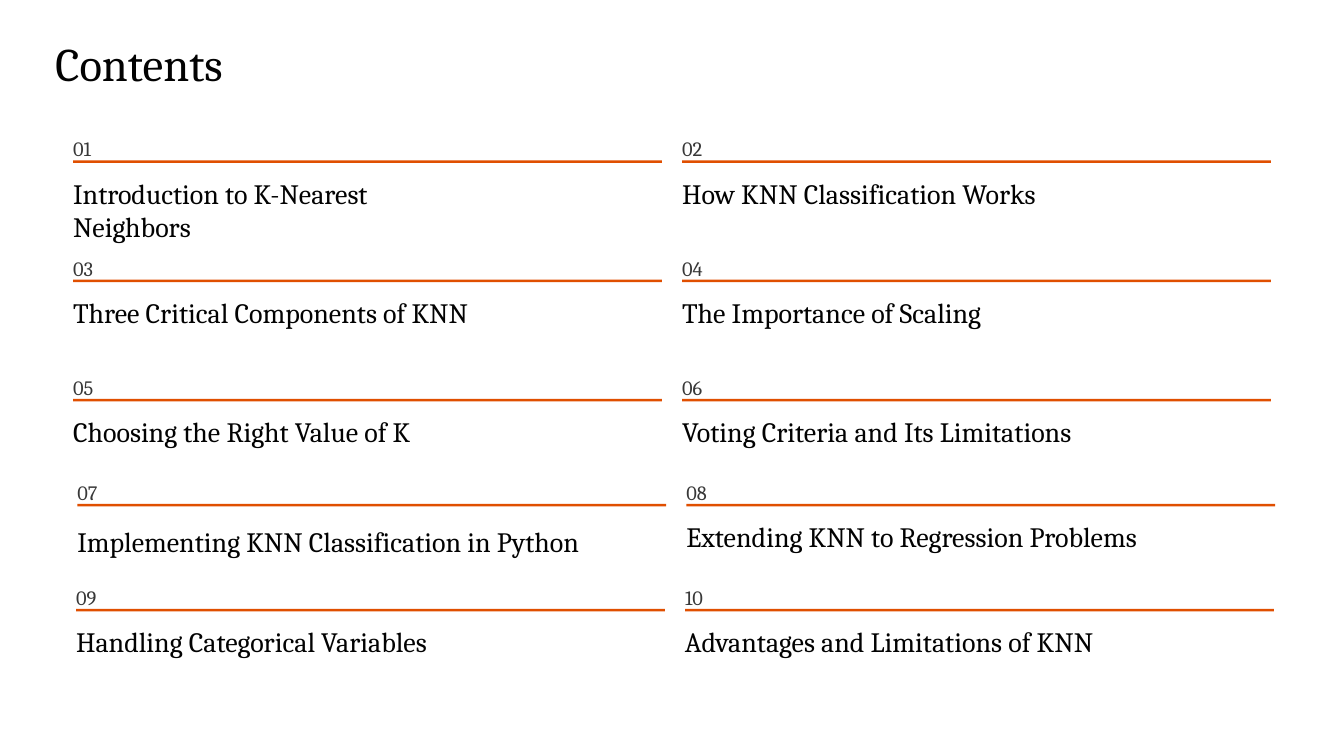
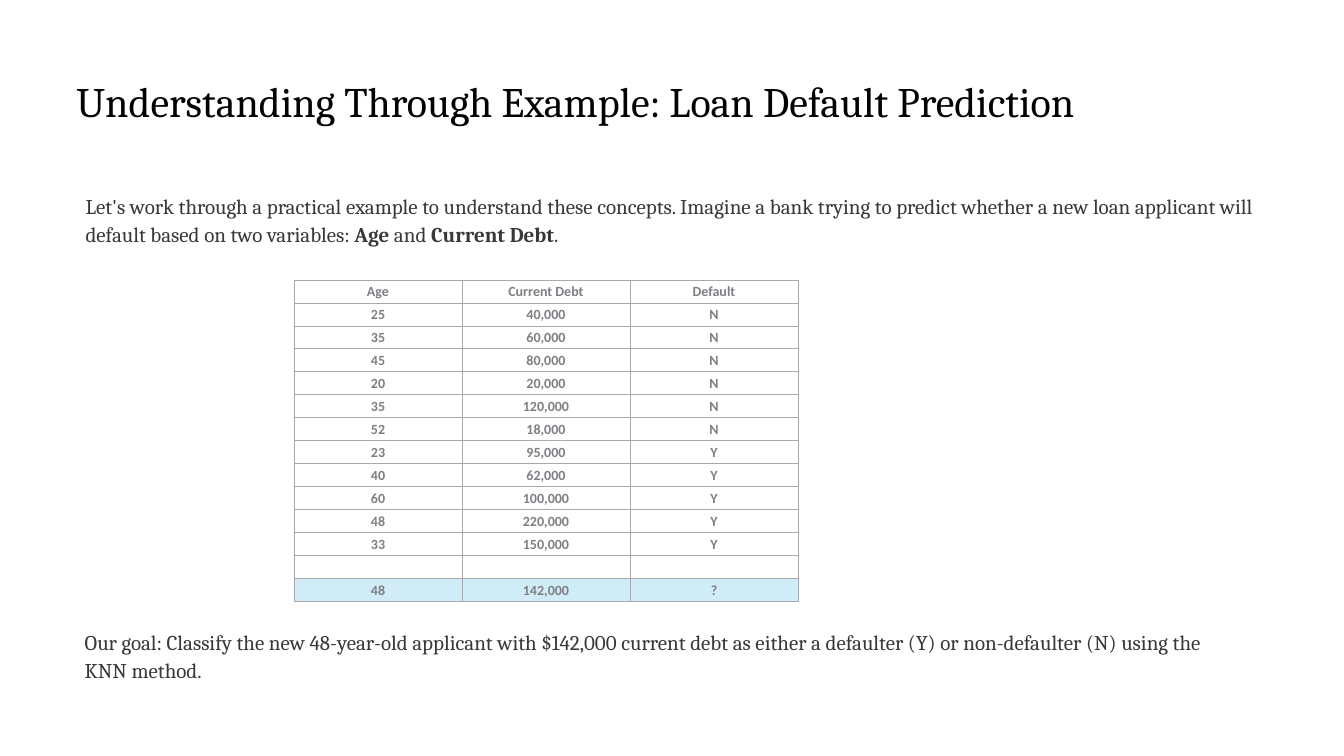
from typing import Any, NamedTuple, Optional

from lxml.etree import SubElement
from pptx import Presentation
from pptx.dml.color import RGBColor
from pptx.enum.shapes import MSO_SHAPE
from pptx.enum.text import MSO_ANCHOR, PP_ALIGN
from pptx.oxml.ns import qn
from pptx.util import Pt

COLORS = {
    "title": "020202",
    "body": "383838",
    "rule": "E04F00",
    "cell": "807E84",
    "border": "A9A9AD",
    "highlight": "CFECF7",
}


class TextStyle(NamedTuple):
    size: float
    color: str
    line_spacing: Optional[float] = None
    font: str = "Cambria"
    bold: bool = False


class Span(NamedTuple):
    text: str
    bold: bool = False


class Frame(NamedTuple):
    left: float
    top: float
    width: float
    height: float


class Topic(NamedTuple):
    heading: str
    width: float
    line_spacing: Optional[float] = None


class TopicRow(NamedTuple):
    left: float
    top: float
    topics: tuple[Topic, Topic]


COVER_TITLE = TextStyle(40, "title")
PAGE_TITLE = TextStyle(36, "title", 48.5)
NUMBER = TextStyle(17.5, "body", 28.5)
HEADING = TextStyle(24, "title")
BODY = TextStyle(18, "body", 23.5)
CELL = TextStyle(12, "cell", font="Calibri", bold=True)

COLUMN_STEP = 522
RULE_WIDTH, RULE_HEIGHT = 504.72, 2.16
RULE_OFFSET, HEADING_OFFSET = 28.08, 41.76

TOPIC_ROWS = [
    TopicRow(62.64, 109.44, (Topic("Introduction to K-Nearest Neighbors", 344),
                             Topic("How KNN Classification Works", 387))),
    TopicRow(62.64, 211.68, (Topic("Three Critical Components of KNN", 405),
                             Topic("The Importance of Scaling", 302))),
    TopicRow(62.64, 313.92, (Topic("Choosing the Right Value of K", 423),
                             Topic("Voting Criteria and Its Limitations", 435))),
    TopicRow(66.24, 403.92, (Topic("Implementing KNN Classification in Python", 432, 33),
                             Topic("Extending KNN to Regression Problems", 435))),
    TopicRow(65.16, 493.92, (Topic("Handling Categorical Variables", 423),
                             Topic("Advantages and Limitations of KNN", 435))),
]

LOANS = [
    ("Age", "Current Debt", "Default"),
    ("25", "40,000", "N"),
    ("35", "60,000", "N"),
    ("45", "80,000", "N"),
    ("20", "20,000", "N"),
    ("35", "120,000", "N"),
    ("52", "18,000", "N"),
    ("23", "95,000", "Y"),
    ("40", "62,000", "Y"),
    ("60", "100,000", "Y"),
    ("48", "220,000", "Y"),
    ("33", "150,000", "Y"),
    ("", "", ""),
    ("48", "142,000", "?"),
]


def color(name: str) -> RGBColor:
    return RGBColor.from_string(COLORS[name])


def set_attributes(target: Any, values: dict[str, Any]) -> None:
    for name, value in values.items():
        setattr(target, name, value)


def add_span(para: Any, span: Span, style: TextStyle) -> None:
    run = para.add_run()
    run.text = span.text
    set_attributes(run.font, {
        "name": style.font,
        "size": Pt(style.size),
        "bold": span.bold or style.bold,
    })
    run.font.color.rgb = color(style.color)


def add_text(page: Any, frame: Frame, spans: list[Span], style: TextStyle,
             inset: tuple[float, float] = (0, 0), wrap: bool = True) -> None:
    """Add a one-paragraph text box; inset is (horizontal, vertical)."""
    box = page.shapes.add_textbox(*map(Pt, frame))
    across, down = map(Pt, inset)
    set_attributes(box.text_frame, {
        "word_wrap": wrap,
        "margin_left": across,
        "margin_right": across,
        "margin_top": down,
        "margin_bottom": down,
    })
    para = box.text_frame.paragraphs[0]
    if style.line_spacing:
        para.line_spacing = Pt(style.line_spacing)
    for span in spans:
        add_span(para, span, style)


def add_rule(page: Any, left: float, top: float) -> None:
    rule = page.shapes.add_shape(
        MSO_SHAPE.RECTANGLE, Pt(left), Pt(top), Pt(RULE_WIDTH), Pt(RULE_HEIGHT))
    rule.shadow.inherit = False
    rule.fill.solid()
    rule.fill.fore_color.rgb = color("rule")
    rule.line.fill.background()


def add_topic(page: Any, number: int, topic: Topic, left: float, top: float) -> None:
    add_text(page, Frame(left, top, 18, 22.32), [Span(f"{number:02}")], NUMBER, wrap=False)
    add_rule(page, left, top + RULE_OFFSET)
    add_text(page, Frame(left, top + HEADING_OFFSET, topic.width, 36), [Span(topic.heading)],
             HEADING._replace(line_spacing=topic.line_spacing), wrap=False)


def add_borders(cell: Any) -> None:
    properties = cell._tc.get_or_add_tcPr()
    for side in ("lnL", "lnR", "lnT", "lnB"):
        line = SubElement(properties, qn(f"a:{side}"), w=str(Pt(0.75)))
        fill = SubElement(line, qn("a:solidFill"))
        SubElement(fill, qn("a:srgbClr"), val=COLORS["border"])


def fill_cell(cell: Any, text: str, highlighted: bool) -> None:
    set_attributes(cell, {
        "vertical_anchor": MSO_ANCHOR.MIDDLE,
        "margin_left": Pt(0.72),
        "margin_right": Pt(0.72),
        "margin_top": Pt(0.72),
        "margin_bottom": 0,
    })
    add_borders(cell)
    if highlighted:
        cell.fill.solid()
        cell.fill.fore_color.rgb = color("highlight")
    else:
        cell.fill.background()
    para = cell.text_frame.paragraphs[0]
    para.alignment = PP_ALIGN.CENTER
    if text:
        add_span(para, Span(text), CELL)
    else:
        # An empty cell would otherwise take the default size and stretch its row.
        SubElement(para._p, qn("a:endParaRPr"), sz=str(CELL.size * 100))


def add_loan_table(page: Any) -> None:
    frame = Frame(252, 240, 432, 275.8)
    table = page.shapes.add_table(len(LOANS), len(LOANS[0]), *map(Pt, frame)).table
    set_attributes(table, {"first_row": False, "horz_banding": False})
    for column in table.columns:
        column.width = Pt(frame.width / len(LOANS[0]))
    for index, (row, values) in enumerate(zip(table.rows, LOANS)):
        row.height = Pt(frame.height / len(LOANS))
        for cell, text in zip(row.cells, values):
            fill_cell(cell, text, highlighted=index == len(LOANS) - 1)


def build_contents(page: Any) -> None:
    add_text(page, Frame(47.52, 30.24, 1075, 92.88), [Span("Contents")], COVER_TITLE)
    for row_index, row in enumerate(TOPIC_ROWS):
        for column_index, topic in enumerate(row.topics):
            number = row_index * len(row.topics) + column_index + 1
            add_topic(page, number, topic, row.left + column_index * COLUMN_STEP, row.top)


def build_example(page: Any) -> None:
    add_text(page, Frame(65.52, 59.76, 1075, 46.8),
             [Span("Understanding Through Example: Loan Default Prediction")], PAGE_TITLE)
    add_text(page, Frame(66.24, 160.56, 1020.24, 54.72), [
        Span("Let's work through a practical example to understand these concepts. "
             "Imagine a bank trying to predict whether a new loan applicant will "
             "default based on two variables: "),
        Span("Age", bold=True),
        Span(" and "),
        Span("Current Debt", bold=True),
        Span("."),
    ], BODY, inset=(7.2, 3.6))
    add_text(page, Frame(65.52, 534.24, 1002.24, 54.72), [
        Span("Our goal: Classify the new 48-year-old applicant with $142,000 current debt "
             "as either a defaulter (Y) or non-defaulter (N) using the KNN method."),
    ], BODY, inset=(7.2, 3.6))
    add_loan_table(page)


def main() -> None:
    deck = Presentation()
    set_attributes(deck, {"slide_width": Pt(1152), "slide_height": Pt(648)})
    blank = deck.slide_layouts[6]
    for build in (build_contents, build_example):
        build(deck.slides.add_slide(blank))
    deck.save("out.pptx")


if __name__ == "__main__":
    main()
